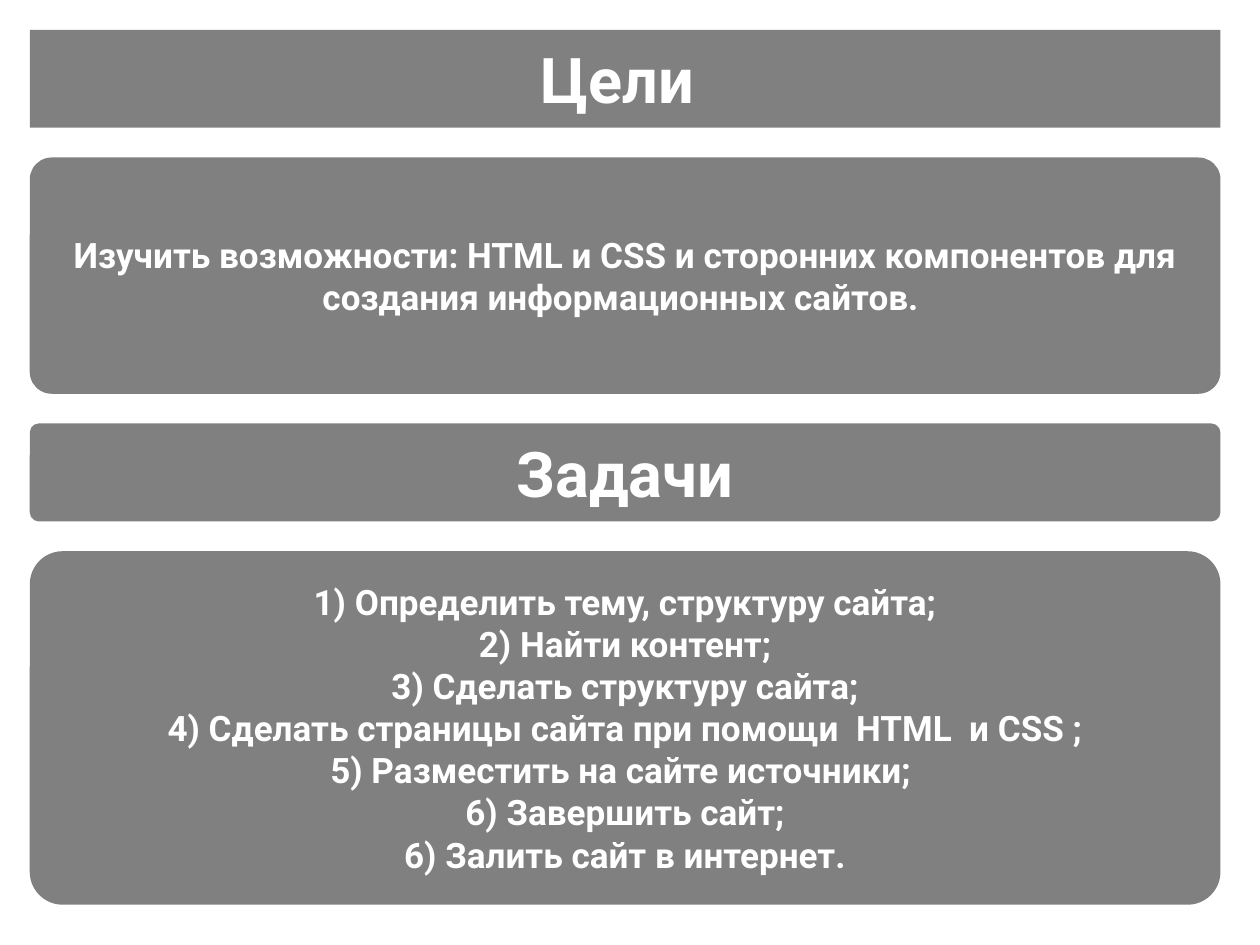
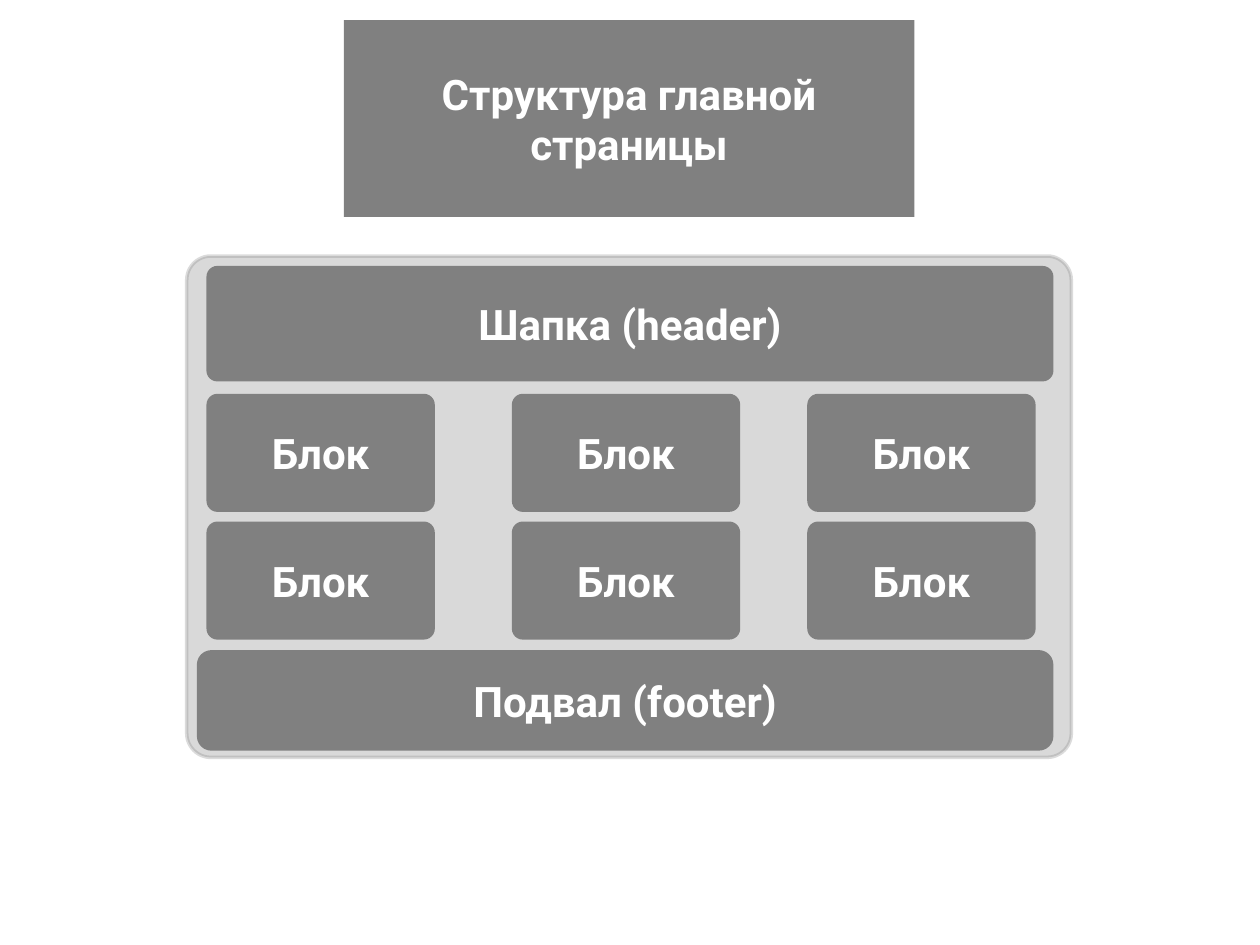
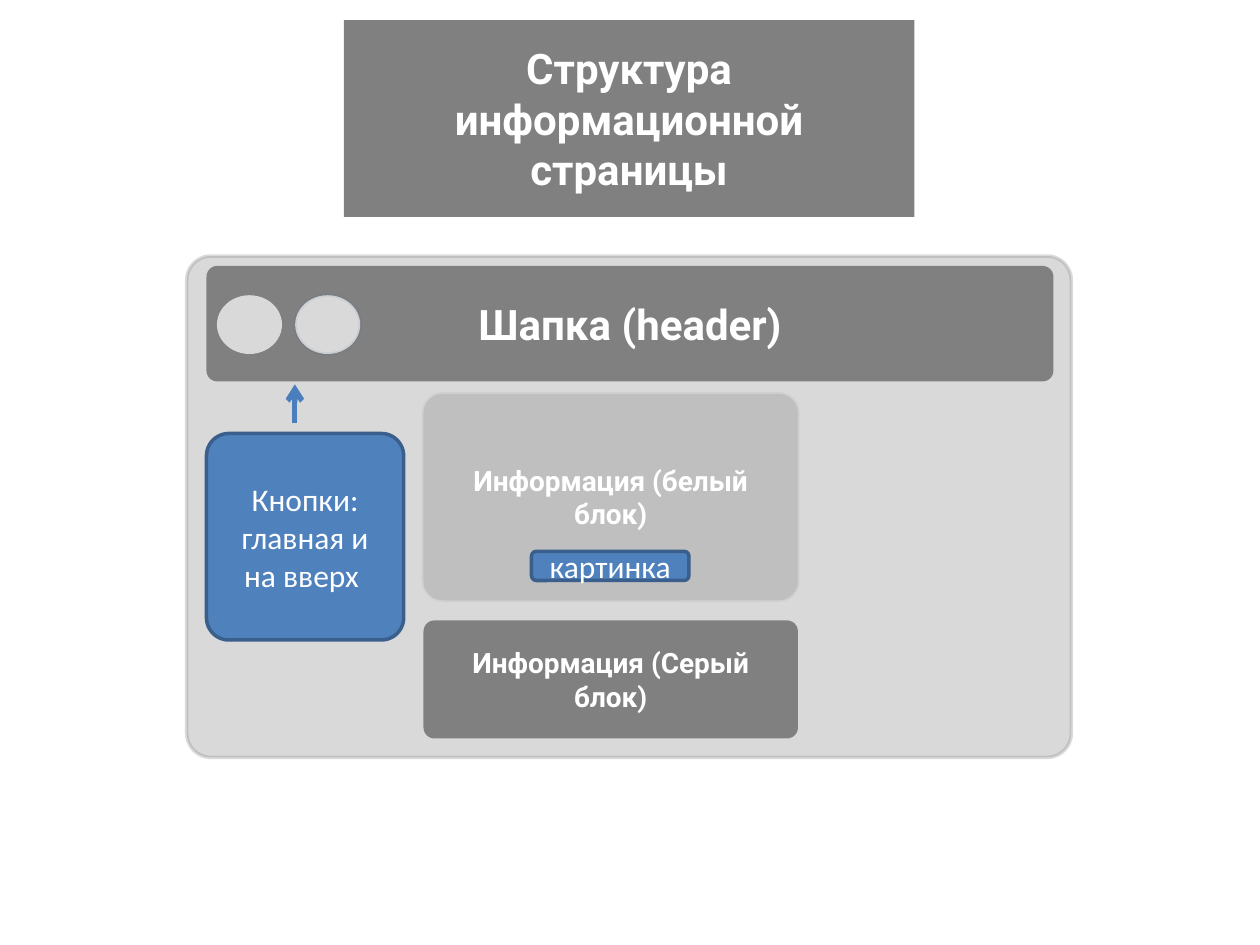
"""Build three slides: goals and tasks, main page layout, information page layout."""
from lxml.etree import SubElement
from pptx import Presentation
from pptx.dml.color import RGBColor
from pptx.enum.shapes import MSO_CONNECTOR as Connector, MSO_SHAPE as Shape
from pptx.enum.text import MSO_ANCHOR as Anchor, MSO_AUTO_SIZE as AutoSize, PP_ALIGN as Align
from pptx.oxml.ns import qn
from pptx.util import Pt

COLORS = {
    "white": "FFFFFF", "gray": "808080", "light": "D9D9D9", "silver": "BFBFBF",
    "blue": "4F81BD", "navy": "3A5F8C", "arrow": "4B7EBC",
}
ROUNDING = 0.093
HEAD = dict(size=36)
BODY = dict(size=20)
LABEL = dict(size=24)
NOTE = dict(size=16)
BLUE = dict(fill="blue", line="navy", font="Calibri", bold=False, size=18)

TASKS = [
    "1) Определить тему, структуру сайта;",
    "2) Найти контент;",
    "3) Сделать структуру сайта;",
    "4) Сделать страницы сайта при помощи  HTML  и CSS ;",
    "5) Разместить на сайте источники; ",
    "6) Завершить сайт;",
    "6) Залить сайт в интернет.",
]
GOALS = [
    ("title", "Цели ", 56, HEAD),
    ("card", "Изучить возможности: HTML и CSS и сторонних компонентов для "
             "создания информационных сайтов. ", 135, BODY),
    ("card", "Задачи", 56, HEAD),
    ("list", "\n".join(TASKS), 202, BODY),
]
GOALS_LEFT, GOALS_WIDTH, GOALS_GAP = 17, 680.4, 17

TITLE_AREA = (196.5, 11.5, 326, 112.5)
FRAME_AREA = (106.7, 146.3, 505.5, 286.5)
HEADER_AREA = (118, 152, 484, 66)
FOOTER_AREA = (112.5, 371.5, 489.5, 57.5)
BLOCK_COLUMNS = (118, 292.5, 461.3)
BLOCK_ROWS = (225, 298)
BLOCK_SIZE = (130.5, 67.5)

INFO_CARDS = [
    ("Информация (белый блок)", (242, 225, 214, 118),
     dict(NOTE, fill="silver", line="silver", opacity=32)),
    ("Информация (Серый блок)", (242, 354.5, 214, 67.5), NOTE),
    ("картинка", (303.7, 315, 90, 16.7), dict(BLUE, rounding=0.167)),
    ("Кнопки: главная и на вверх ", (118, 247.7, 112.7, 118), dict(BLUE, rounding=0.113)),
]
BUTTONS = [((124, 168.7, 37.2, 33.6), {}),
           ((168.7, 168.7, 37.2, 33.6), dict(line="navy", opacity=7))]
ARROW = (168.5, 242, 168.5, 219.6)


def color(name):
    return RGBColor.from_string(COLORS[name])


def set_line(shape, name, width, opacity=100):
    shape.line.color.rgb = color(name)
    shape.line.width = Pt(width)
    if opacity < 100:
        tone = shape.line._get_or_add_ln().find(".//" + qn("a:srgbClr"))
        SubElement(tone, qn("a:alpha"), val=str(opacity * 1000))


def paint(shape, fill, line=None, opacity=100):
    shape.fill.solid()
    shape.fill.fore_color.rgb = color(fill)
    if line:
        set_line(shape, line, 2, opacity)
    else:
        shape.line.fill.background()


def write(shape, text, size, font, bold):
    frame = shape.text_frame
    frame.text = text
    frame.word_wrap = True
    frame.auto_size = AutoSize.NONE
    frame.vertical_anchor = Anchor.MIDDLE
    for para in frame.paragraphs:
        para.alignment = Align.CENTER
        for span in para.runs:
            span.font.size = Pt(size)
            span.font.name = font
            span.font.bold = bold
            span.font.color.rgb = color("white")


def add_card(page, text, area, size=24, fill="gray", line=None, opacity=100,
             font="Roboto", bold=True, rounding=ROUNDING):
    box = page.shapes.add_shape(Shape.ROUNDED_RECTANGLE, *map(Pt, area))
    box.adjustments[0] = rounding
    box.shadow.inherit = False
    paint(box, fill, line, opacity)
    if text:
        write(box, text, size, font, bold)


def fill_placeholder(box, text, area, size):
    box.left, box.top, box.width, box.height = map(Pt, area)
    outline = SubElement(box.element.spPr, qn("a:prstGeom"), prst="roundRect")
    guides = SubElement(outline, qn("a:avLst"))
    SubElement(guides, qn("a:gd"), name="adj", fmla=f"val {round(ROUNDING * 100000)}")
    paint(box, "gray")
    write(box, text, size, "Roboto", True)
    for para in box.text_frame.paragraphs:
        para.space_before = Pt(0)
        settings = para._p.get_or_add_pPr()
        settings.set("marL", "0")
        settings.set("indent", "0")
        SubElement(settings, qn("a:buNone"))


def add_goals(deck):
    page = deck.slides.add_slide(deck.slide_layouts[1])
    targets = {"title": page.shapes.title, "list": page.placeholders[1]}
    top = GOALS_GAP
    for kind, text, height, style in GOALS:
        area = (GOALS_LEFT, top, GOALS_WIDTH, height)
        if kind in targets:
            fill_placeholder(targets[kind], text, area, **style)
        else:
            add_card(page, text, area, **style)
        top += height + GOALS_GAP


def add_layout_page(deck, title):
    page = deck.slides.add_slide(deck.slide_layouts[5])
    fill_placeholder(page.shapes.title, title, TITLE_AREA, **LABEL)
    add_card(page, "", FRAME_AREA, fill="light", line="gray", opacity=28, rounding=0.048)
    add_card(page, "Шапка (header)", HEADER_AREA, **LABEL)
    return page


def add_main_page(deck):
    page = add_layout_page(deck, "Структура главной страницы")
    for top in BLOCK_ROWS:
        for left in BLOCK_COLUMNS:
            add_card(page, "Блок", (left, top, *BLOCK_SIZE), **LABEL)
    add_card(page, "Подвал (footer)", FOOTER_AREA, **dict(LABEL, rounding=0.145))


def add_info_page(deck):
    page = add_layout_page(deck, "Структура информационной страницы")
    for text, area, style in INFO_CARDS:
        add_card(page, text, area, **style)
    for area, style in BUTTONS:
        button = page.shapes.add_shape(Shape.OVAL, *map(Pt, area))
        button.shadow.inherit = False
        paint(button, "light", **style)
    arrow = page.shapes.add_connector(Connector.STRAIGHT, *map(Pt, ARROW))
    set_line(arrow, "arrow", 3)
    SubElement(arrow.line._get_or_add_ln(), qn("a:tailEnd"), type="arrow")
    SubElement(arrow.element.spPr, qn("a:effectLst"))


def main():
    deck = Presentation()
    deck.slide_width, deck.slide_height = Pt(720), Pt(540)
    add_goals(deck)
    add_main_page(deck)
    add_info_page(deck)
    deck.save("out.pptx")


if __name__ == "__main__":
    main()
